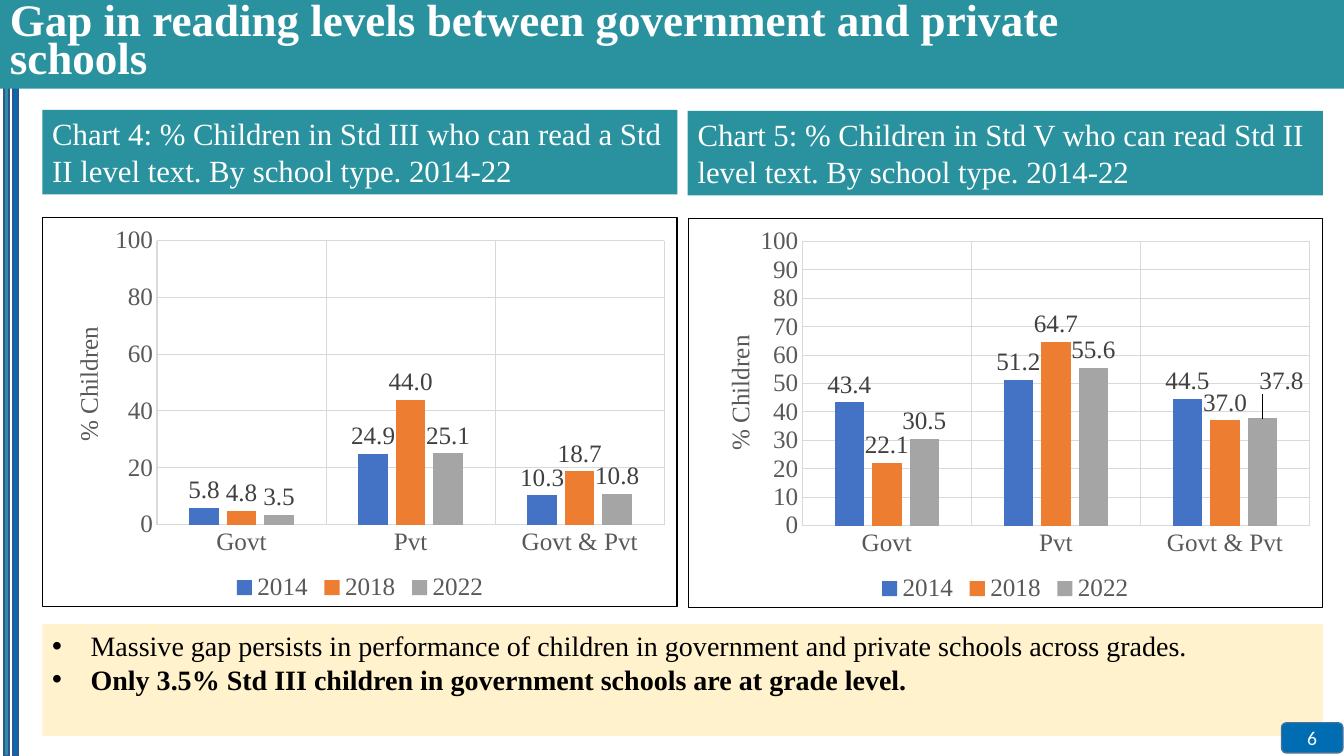
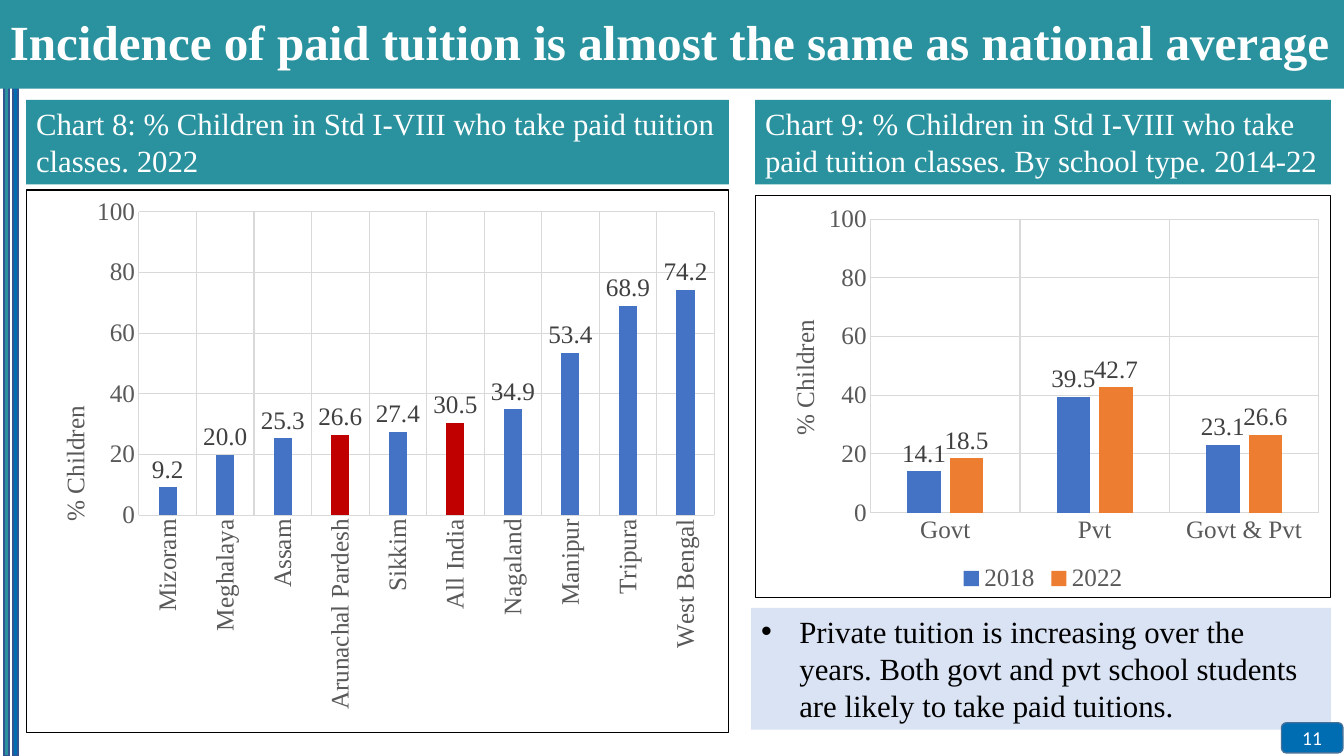
import pptx
import pptx.chart.data
import pptx.dml.color
import pptx.enum.chart
import pptx.enum.shapes
import pptx.enum.text
import pptx.oxml
import pptx.oxml.ns
import pptx.util
from lxml import etree

PX = 9144  # one px is a hundredth of an inch
PAGE_WIDTH, PAGE_HEIGHT = 1333, 750
HEADING_HEIGHT = 84
PLOT_LEFT, PLOT_TOP, PLOT_RIGHT = 113, 22, 13
SERIF, SANS = "Times New Roman", "Calibri"
COLORS = {
    "teal": "2A929E", "blue": "006CB2", "stripe_edge": "325491",
    "badge_edge": "42719B", "white": "FFFFFF", "black": "000000",
    "cream": "FFF2CC", "pale_blue": "DAE3F3", "grid": "D9D9D9",
    "axis_text": "595959", "label_text": "404040", "highlight": "C00000",
}
SERIES_COLORS = {"2014": "4472C4", "2018": "ED7D31", "2022": "A5A5A5"}
TUITION_COLORS = {"2018": "4472C4", "2022": "ED7D31"}
SCHOOL_TYPES = ["Govt", "Pvt", "Govt & Pvt"]


def rgb(name):
    return pptx.dml.color.RGBColor.from_string(COLORS.get(name, name))


def style_font(font, size, color, name=SERIF, bold=False):
    font.size = pptx.util.Pt(size)
    font.name = name
    font.bold = bold
    font.color.rgb = rgb(color)


def style_line(line, color, width=0.75):
    line.color.rgb = rgb(color)
    line.width = pptx.util.Pt(width)


def add_block(page, box, fill, edge=None, rounded=False):
    kinds = pptx.enum.shapes.MSO_SHAPE
    kind = kinds.ROUNDED_RECTANGLE if rounded else kinds.RECTANGLE
    shape = page.shapes.add_shape(kind, *(value * PX for value in box))
    shape.shadow.inherit = False
    shape.fill.solid()
    shape.fill.fore_color.rgb = rgb(fill)
    if edge:
        style_line(shape.line, edge, 1)
    else:
        shape.line.fill.background()
    return shape


def write_text(shape, lines, size, color, font=SERIF, bold_lines=(), middle=False,
               align="LEFT", spacing=None):
    frame = shape.text_frame
    frame.word_wrap = True
    anchors = pptx.enum.text.MSO_ANCHOR
    frame.vertical_anchor = anchors.MIDDLE if middle else anchors.TOP
    frame.text = "\n".join(lines)
    for index, para in enumerate(frame.paragraphs):
        para.alignment = pptx.enum.text.PP_ALIGN[align]
        if spacing:
            para.line_spacing = spacing
        for span in para.runs:
            style_font(span.font, size, color, font, index in bold_lines)
    return frame


# Shared page parts
def add_frame(page, title_lines, title_size, spacing):
    for left, color in ((4, "teal"), (13, "blue")):
        add_block(page, (left, 83, 5, PAGE_HEIGHT - 83), color, "stripe_edge")
    band = add_block(page, (0, 0, PAGE_WIDTH, 88), "teal")
    write_text(band, title_lines, title_size, "white", middle=True,
               bold_lines=range(len(title_lines)), spacing=spacing)


def add_page_number(page, number):
    badge = add_block(page, (1271, 717, 61, 30), "blue", "badge_edge", rounded=True)
    write_text(badge, [number], 14, "white", SANS, middle=True, align="CENTER")


def add_notes_panel(page, box, fill, lines, size, bold_lines=()):
    frame = write_text(add_block(page, box, fill), lines, size, "black",
                       bold_lines=bold_lines)
    for para in frame.paragraphs:
        props = para._p.get_or_add_pPr()
        props.set("marL", str(38 * PX))
        props.set("indent", str(-38 * PX))
        for tag, key, value in (("a:buFont", "typeface", "Arial"),
                                ("a:buChar", "char", "•")):
            etree.SubElement(props, pptx.oxml.ns.qn(tag)).set(key, value)


# Chart details that need XML
def manual_layout(x, y, width=None, height=None, inner=False, edge=True):
    entries = [("layoutTarget", "inner")] if inner else []
    if edge:
        entries += [("xMode", "edge"), ("yMode", "edge")]
    entries += [("x", x), ("y", y), ("w", width), ("h", height)]
    body = "".join(f'<c:{tag} val="{value}"/>' for tag, value in entries
                   if value is not None)
    return pptx.oxml.parse_xml(
        f'<c:layout {pptx.oxml.ns.nsdecls("c")}>'
        f'<c:manualLayout>{body}</c:manualLayout></c:layout>')


def replace_layout(parent, layout, after=None):
    for old in parent.findall(pptx.oxml.ns.qn("c:layout")):
        parent.remove(old)
    if after is None:
        parent.insert(0, layout)
    else:
        parent.find(pptx.oxml.ns.qn(after)).addnext(layout)


def rotate_text(element):
    for body in element.iter(pptx.oxml.ns.qn("a:bodyPr")):
        body.set("rot", "-5400000")
        body.set("vert", "horz")


def add_border(chart):
    border = pptx.oxml.parse_xml(
        f'<c:spPr {pptx.oxml.ns.nsdecls("c", "a")}><a:noFill/>'
        f'<a:ln w="9525"><a:solidFill><a:srgbClr val="{COLORS["black"]}"/>'
        f'</a:solidFill></a:ln></c:spPr>')
    chart._chartSpace.find(pptx.oxml.ns.qn("c:chart")).addnext(border)


def style_axes(chart, unit, title_at, size):
    for axis in (chart.category_axis, chart.value_axis):
        axis.has_major_gridlines = True
        style_line(axis.major_gridlines.format.line, "grid")
        axis.major_tick_mark = pptx.enum.chart.XL_TICK_MARK.NONE
        axis.minor_tick_mark = pptx.enum.chart.XL_TICK_MARK.NONE
        style_font(axis.tick_labels.font, 18, "axis_text")
    style_line(chart.category_axis.format.line, "grid")
    value_axis = chart.value_axis
    value_axis.format.line.fill.background()
    value_axis.minimum_scale, value_axis.maximum_scale = 0, 100
    value_axis.major_unit = unit
    value_axis.tick_labels.number_format = "0"
    value_axis.tick_labels.number_format_is_linked = False
    frame = value_axis.axis_title.text_frame
    frame.text = "% Children"
    style_font(frame.paragraphs[0].runs[0].font, 18, "axis_text")
    title = value_axis.axis_title._element
    rotate_text(title)
    x, y = (round(at / full, 2) for at, full in zip(title_at, size))
    replace_layout(title, manual_layout(x, y), after="c:tx")


def add_chart(page, box, categories, series, colors, title_at, unit=20, below=84,
              legend=True):
    left, top, width, height = box
    data = pptx.chart.data.CategoryChartData(number_format="0.0")
    data.categories = categories
    for name, values in series.items():
        data.add_series(name, values)
    chart = page.shapes.add_chart(
        pptx.enum.chart.XL_CHART_TYPE.COLUMN_CLUSTERED,
        *(value * PX for value in box), data).chart
    chart.has_title = False
    style_font(chart.font, 18, "black")
    add_border(chart)
    style_axes(chart, unit, title_at, (width, height))

    plot = chart.plots[0]
    plot.vary_by_categories = False
    plot.gap_width, plot.overlap = 219, -27
    for bars in plot.series:
        bars.format.fill.solid()
        bars.format.fill.fore_color.rgb = rgb(colors[bars.name])
        bars.invert_if_negative = False
        labels = bars.data_labels
        labels.show_value = True
        labels.position = pptx.enum.chart.XL_LABEL_POSITION.OUTSIDE_END
        labels.number_format = "0.0"
        labels.number_format_is_linked = False
        style_font(labels.font, 18, "label_text")

    chart.has_legend = legend
    if legend:
        chart.legend.position = pptx.enum.chart.XL_LEGEND_POSITION.BOTTOM
        chart.legend.include_in_layout = False
        style_font(chart.legend.font, 18, "axis_text")
    area = chart._chartSpace.chart.plotArea
    replace_layout(area, manual_layout(
        round(PLOT_LEFT / width, 2), round(PLOT_TOP / height, 2),
        round((width - PLOT_LEFT - PLOT_RIGHT) / width, 2),
        round((height - PLOT_TOP - below) / height, 2), inner=True))
    return chart


def add_chart_panel(page, box, heading, gap, **chart_options):
    left, top, width, height = box
    bar = add_block(page, (left, top, width, HEADING_HEIGHT), "teal")
    write_text(bar, [heading], 22, "white")
    offset = HEADING_HEIGHT + gap
    return add_chart(page, (left, top + offset, width, height - offset),
                     **chart_options)


def move_label(point, x, y):
    label = point.data_label
    style_font(label.font, 18, "label_text")
    label.position = pptx.enum.chart.XL_LABEL_POSITION.OUTSIDE_END
    replace_layout(label._get_or_add_dLbl(), manual_layout(x, y, edge=False),
                   after="c:idx")


# Slides
def build_reading_gap(page):
    add_frame(page, ["Gap in reading levels between government and private",
                     "schools"], 32.2, 0.7)
    add_chart_panel(
        page, (42, 109, 630, 493),
        "Chart 4: % Children in Std III who can read a Std II level text. "
        "By school type. 2014-22", 22,
        categories=SCHOOL_TYPES, colors=SERIES_COLORS, title_at=(24, 103),
        series={"2014": [5.8, 24.9, 10.3], "2018": [4.8, 44, 18.7],
                "2022": [3.5, 25.1, 10.8]})
    chart = add_chart_panel(
        page, (682, 110, 630, 493),
        "Chart 5: % Children in Std V who can read Std II level text. "
        "By school type. 2014-22", 22,
        categories=SCHOOL_TYPES, colors=SERIES_COLORS, title_at=(31, 114), unit=10,
        series={"2014": [43.4, 51.2, 44.5], "2018": [22.1, 64.7, 37],
                "2022": [30.5, 55.6, 37.8]})
    move_label(chart.plots[0].series[2].points[2], 0.03, -0.05)
    add_notes_panel(
        page, (42, 619, 1270, 111), "cream",
        ["Massive gap persists in performance of children in government and "
         "private schools across grades.",
         "Only 3.5% Std III children in government schools are at grade level."],
        20, bold_lines=(1,))
    add_page_number(page, "6")


def build_paid_tuition(page):
    add_frame(page, ["Incidence of paid tuition is almost the same as national "
                     "average"], 35.1, 0.9)
    states = ["Mizoram", "Meghalaya", "Assam", "Arunachal Pardesh", "Sikkim",
              "All India", "Nagaland", "Manipur", "Tripura", "West Bengal"]
    chart = add_chart_panel(
        page, (26, 99, 697, 628),
        "Chart 8: % Children in Std I-VIII who take paid tuition classes. 2022", 5,
        categories=states, colors={"Series 1": "4472C4"}, title_at=(26, 208),
        below=216, legend=False,
        series={"Series 1": [9.2, 20, 25.3, 26.6, 27.4, 30.5, 34.9, 53.4, 68.9,
                             74.2]})
    rotate_text(chart.category_axis._element)
    for state in ("Arunachal Pardesh", "All India"):
        fill = chart.plots[0].series[0].points[states.index(state)].format.fill
        fill.solid()
        fill.fore_color.rgb = rgb("highlight")
    add_chart_panel(
        page, (749, 99, 571, 494),
        "Chart 9: % Children in Std I-VIII who take paid tuition classes. "
        "By school type. 2014-22", 10,
        categories=SCHOOL_TYPES, colors=TUITION_COLORS, title_at=(31, 121),
        series={"2018": [14.1, 39.5, 23.1], "2022": [18.5, 42.7, 26.6]})
    add_notes_panel(
        page, (745, 603, 575, 121), "pale_blue",
        ["Private tuition is increasing over the years. Both govt and pvt school "
         "students are likely to take paid tuitions."], 22)
    add_page_number(page, "11")


def main():
    deck = pptx.Presentation()
    deck.slide_width, deck.slide_height = PAGE_WIDTH * PX, PAGE_HEIGHT * PX
    for build in (build_reading_gap, build_paid_tuition):
        build(deck.slides.add_slide(deck.slide_layouts[6]))
    deck.save("out.pptx")


if __name__ == "__main__":
    main()
